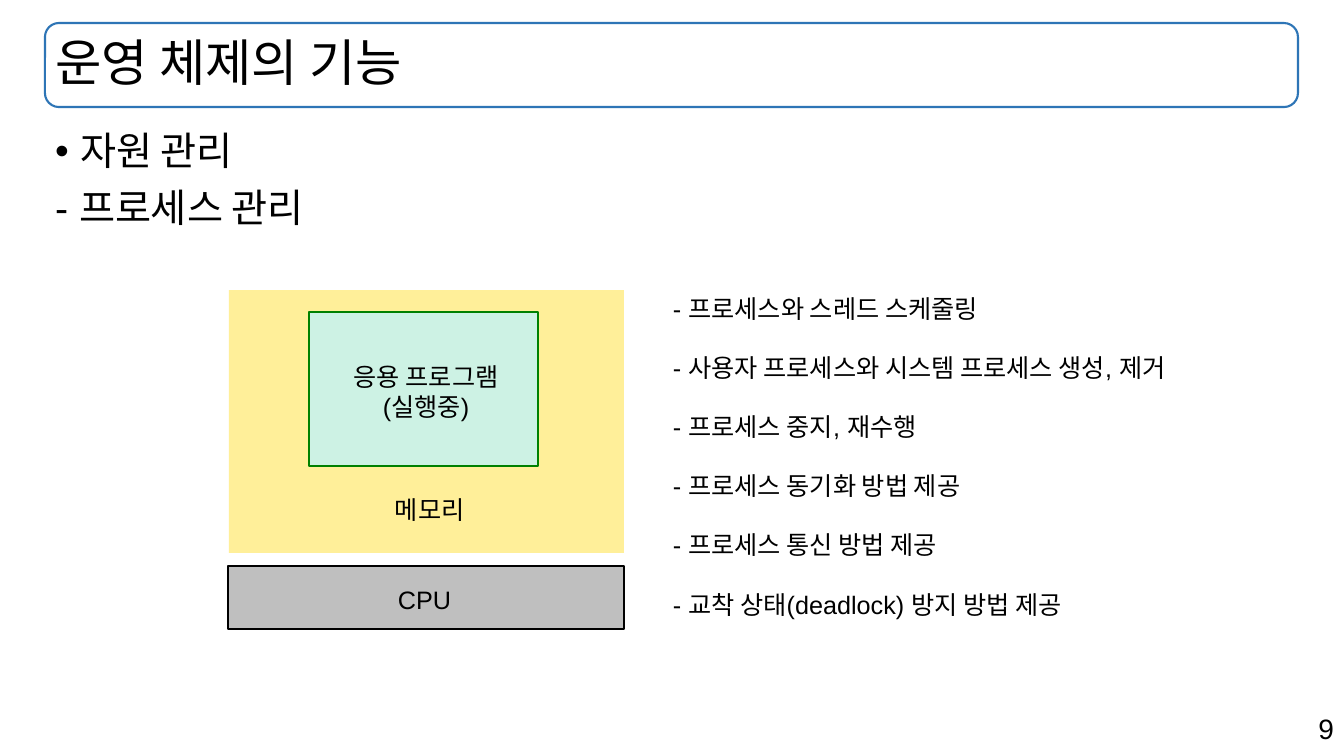
import pptx
import pptx.dml.color
import pptx.enum.shapes
import pptx.enum.text
import pptx.oxml
import pptx.oxml.ns
import pptx.util

PX = 9071.43  # EMU per px, 100.8 px to the inch
FONT = "Arial"
COLORS = {
    "text": "000000",
    "title frame": "2E75B6",
    "memory": "FFEF99",
    "program": "CDF2E4",
    "program line": "008000",
    "cpu": "BFBFBF",
    "cpu line": "000000",
}
ALIGN = pptx.enum.text.PP_ALIGN
ANCHOR = pptx.enum.text.MSO_ANCHOR
SHAPE = pptx.enum.shapes.MSO_SHAPE


def place(*lengths):
    return [pptx.util.Emu(round(length * PX)) for length in lengths]


def write(box, lines, size, align=ALIGN.LEFT, wrap=True, gap=0, spacing=1.0, anchor=ANCHOR.TOP):
    frame = box.text_frame
    frame.text = "\n".join(lines)
    frame.word_wrap = wrap
    frame.auto_size = pptx.enum.text.MSO_AUTO_SIZE.NONE
    frame.vertical_anchor = anchor
    for index, para in enumerate(frame.paragraphs):
        para.alignment = align
        para.line_spacing = spacing
        para.space_before = pptx.util.Pt(gap if index else 0)
        for span in para.runs:
            span.font.name = FONT
            span.font.size = pptx.util.Pt(size)
            span.font.color.rgb = pptx.dml.color.RGBColor.from_string(COLORS["text"])


deck = pptx.Presentation()
deck.slide_width, deck.slide_height = place(1344, 756)
page = deck.slides.add_slide(deck.slide_layouts[1])

# Title and body
title = page.shapes.title
body = page.placeholders[1]
title.left, title.top, title.width, title.height = place(45, 23, 1253, 84)
body.left, body.top, body.width, body.height = place(45, 127, 1253, 557)
write(title, ["운영 체제의 기능"], 36, spacing=0.9, anchor=ANCHOR.MIDDLE)
write(body, ["자원 관리", "- 프로세스 관리"], 28, gap=10, spacing=0.9)

# Bullet on the first body line only: indent in px, bullet element
bullets = [(25, '<a:buChar {} char="•"/>'), (0, "<a:buNone {}/>")]
for para, (indent, bullet) in zip(body.text_frame.paragraphs, bullets):
    properties = para._p.get_or_add_pPr()
    properties.set("marL", str(round(indent * PX)))
    properties.set("indent", str(round(-indent * PX)))
    properties.append(pptx.oxml.parse_xml(bullet.format(pptx.oxml.ns.nsdecls("a"))))

# Title frame and the blocks of the diagram: preset, place, fill, line, line width
blocks = [
    (SHAPE.ROUNDED_RECTANGLE, (45, 23, 1253, 84), None, "title frame", 1.5),
    (SHAPE.RECTANGLE, (229, 290, 395, 263), "memory", None, 0),
    (SHAPE.RECTANGLE, (309, 312, 229, 154), "program", "program line", 1),
    (SHAPE.RECTANGLE, (228, 566, 396, 63), "cpu", "cpu line", 1),
]
for preset, area, fill, line, width in blocks:
    block = page.shapes.add_shape(preset, *place(*area))
    block.shadow.inherit = False
    if fill:
        block.fill.solid()
        block.fill.fore_color.rgb = pptx.dml.color.RGBColor.from_string(COLORS[fill])
    else:
        block.fill.background()
        title.element.addprevious(block.element)  # frame goes behind the title
    if line:
        block.line.color.rgb = pptx.dml.color.RGBColor.from_string(COLORS[line])
        block.line.width = pptx.util.Pt(width)
    else:
        block.line.fill.background()

# Labels of the blocks
labels = [
    ((385, 489, 100, 40), ["메모리"], ALIGN.LEFT),
    ((336, 356, 180, 71), ["응용 프로그램", "(실행중)"], ALIGN.CENTER),
    ((388, 579, 78, 40), ["CPU"], ALIGN.LEFT),
]
for area, lines, align in labels:
    write(page.shapes.add_textbox(*place(*area)), lines, 18, align, wrap=False)

# Process management functions
functions = [
    "- 프로세스와 스레드 스케줄링",
    "- 사용자 프로세스와 시스템 프로세스 생성, 제거",
    "- 프로세스 중지, 재수행",
    "- 프로세스 동기화 방법 제공",
    "- 프로세스 통신 방법 제공",
    "- 교착 상태(deadlock) 방지 방법 제공",
]
function_box = page.shapes.add_textbox(*place(663, 288, 560, 343))
write(function_box, functions, 18, wrap=False, gap=20.7)

# Page number
number_box = page.shapes.add_textbox(*place(951, 707, 393, 44))
write(number_box, ["9"], 20, ALIGN.RIGHT)

deck.save("out.pptx")
